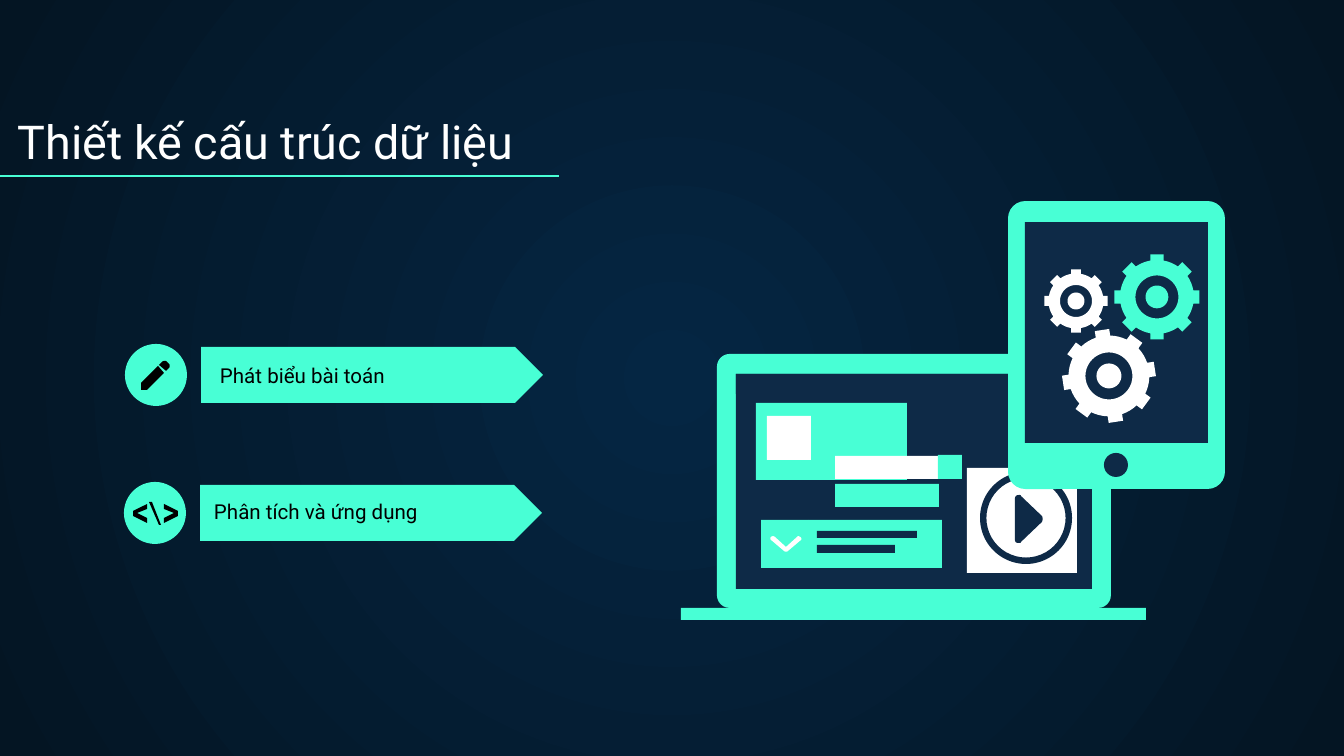
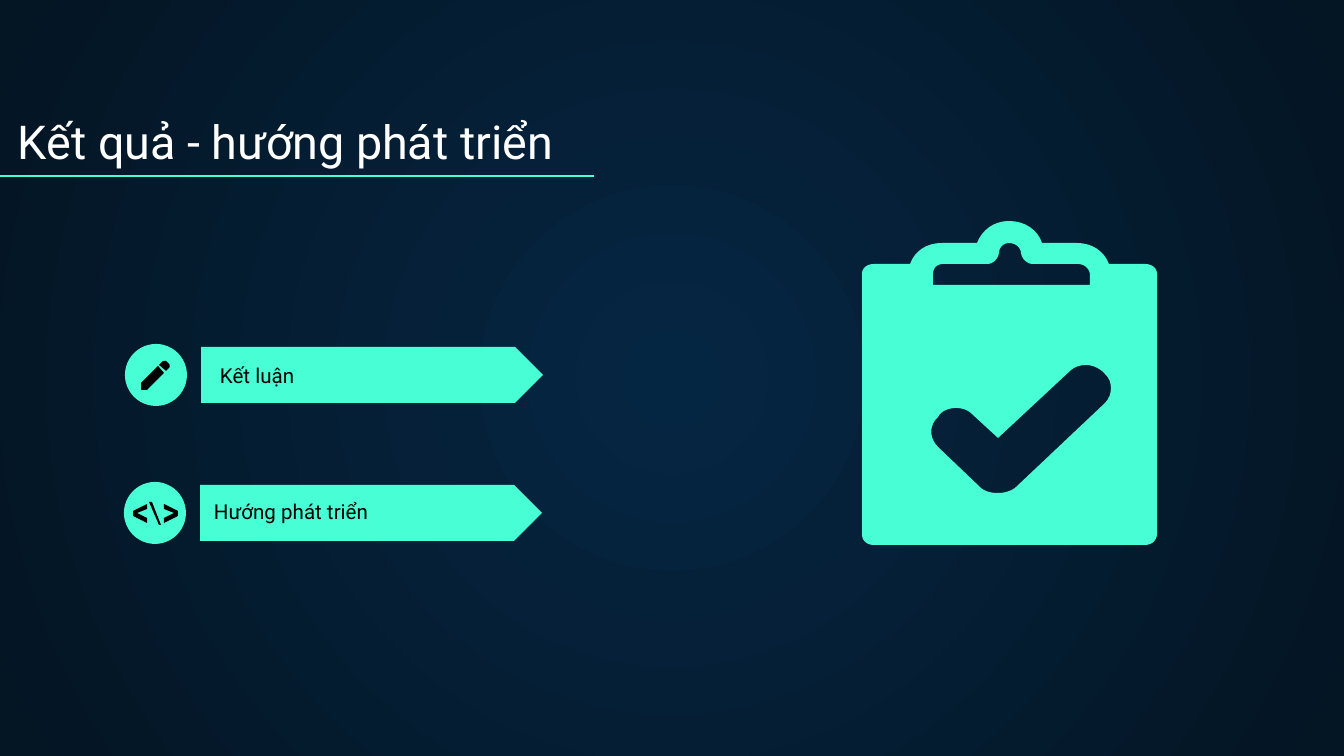
from collections.abc import Callable, Sequence
from dataclasses import dataclass
from math import asin, cos, pi, sin

from lxml.etree import SubElement
from pptx import Presentation
from pptx.dml.color import RGBColor
from pptx.enum.shapes import MSO_CONNECTOR, MSO_SHAPE
from pptx.enum.text import MSO_ANCHOR
from pptx.oxml.ns import qn
from pptx.shapes.base import BaseShape
from pptx.shapes.shapetree import GroupShapes, SlideShapes
from pptx.slide import Slide
from pptx.util import Emu, Pt

SLIDE_W, SLIDE_H = 1344, 756
EMU_PER_PX = 9144000 / SLIDE_W

MINT = RGBColor(0x48, 0xFF, 0xD5)
NAVY = RGBColor(0x0E, 0x2A, 0x47)
WHITE = RGBColor(0xFF, 0xFF, 0xFF)
BLACK = RGBColor(0, 0, 0)
BG_CENTRE = RGBColor(0x05, 0x26, 0x43)
BG_EDGE = RGBColor(0x04, 0x15, 0x23)
FONT = "Roboto"
INSET = 13

RECT, ROUNDED = MSO_SHAPE.RECTANGLE, MSO_SHAPE.ROUNDED_RECTANGLE
OVAL, DONUT, PENTAGON = MSO_SHAPE.OVAL, MSO_SHAPE.DONUT, MSO_SHAPE.PENTAGON

Contour = Sequence[tuple[float, ...]]
Shapes = SlideShapes | GroupShapes


@dataclass(frozen=True)
class Block:
    x: int
    y: int
    w: int
    h: int
    color: RGBColor
    kind: MSO_SHAPE = RECT
    adj: float | None = None


@dataclass(frozen=True)
class Gear:
    cx: int
    cy: int
    r: int
    color: RGBColor
    turn: float = 0


@dataclass(frozen=True)
class Row:
    disc_x: int
    disc_y: int
    text_x: int
    text_y: int


@dataclass(frozen=True)
class Page:
    title: str
    rule_end: int
    labels: tuple[str, str]
    art: Callable[[Slide], None]


ROWS = (Row(125, 344, 207, 372), Row(124, 482, 201, 508))

PENCIL = (
    [(165, 361), (164, 361, 163, 361, 162, 362), (159, 365), (166, 371), (169, 368),
     (170, 367, 170, 365, 169, 364), (167, 362), (166, 361, 166, 361, 165, 361)],
    [(158, 366), (141, 383), (141, 390), (147, 390), (164, 373)],
)
BRACKET = [(147, 523), (133, 516), (133, 511), (147, 504), (147, 509), (137, 513), (147, 518)]
CODE_MARKS = (
    BRACKET,
    [(159, 525), (149, 502), (152, 502), (161, 525)],
    [(311 - x, y) for x, y in BRACKET],
)
CHEVRON = [
    (800, 537), (799, 536, 798, 536, 797, 537), (786, 547), (775, 537),
    (774, 536, 772, 536, 771, 537), (770, 538, 770, 539, 771, 540), (784, 551),
    (785, 552, 787, 552, 788, 551), (801, 540), (802, 539, 801, 537, 800, 537),
]
PLAY = [
    (1019, 495), (1016, 495, 1015, 497, 1015, 499), (1015, 539),
    (1015, 542, 1016, 543, 1019, 543), (1020, 543, 1021, 543, 1021, 542),
    (1042, 522), (1043, 520, 1043, 518, 1042, 516), (1021, 496),
    (1021, 495, 1020, 495, 1019, 495),
]
BOARD = [
    (1009, 221), (994, 221, 982, 230, 977, 243), (942, 243),
    (926, 243, 915, 251, 910, 264), (874, 264), (867, 264, 862, 268, 862, 274),
    (862, 534), (862, 541, 867, 545, 874, 545), (1145, 545),
    (1152, 545, 1157, 540, 1157, 534), (1157, 274), (1157, 268, 1152, 264, 1145, 264),
    (1109, 264), (1104, 251, 1092, 243, 1077, 243), (1042, 243),
    (1038, 230, 1025, 221, 1009, 221),
]
CLIP_HOLE = [
    (1009, 243), (1016, 243, 1021, 248, 1021, 253), (1022, 259, 1027, 264, 1033, 264),
    (1078, 264), (1084, 264, 1089, 268, 1090, 274), (1090, 285), (933, 285), (933, 274),
    (933, 268, 937, 264, 943, 264), (987, 264), (993, 264, 998, 259, 999, 253),
    (999, 247, 1004, 243, 1009, 243),
]
CHECK_HOLE = [
    (1086, 365), (1091, 365, 1097, 367, 1102, 371), (1105, 374),
    (1113, 381, 1113, 395, 1105, 403), (1015, 488), (1009, 492, 1003, 493, 998, 493),
    (992, 493, 986, 492, 981, 488), (938, 447), (929, 438, 929, 425, 938, 417),
    (940, 414), (944, 410, 950, 408, 956, 408), (962, 408, 968, 410, 972, 414),
    (998, 438), (1070, 371), (1074, 367, 1080, 365, 1086, 365),
]

LAPTOP = (
    Block(717, 354, 394, 254, MINT, ROUNDED, 0.05),
    Block(736, 374, 356, 215, NAVY),
    Block(681, 608, 465, 12, MINT),
    Block(736, 374, 356, 20, NAVY),
    Block(756, 403, 151, 77, MINT),
    Block(767, 416, 44, 44, WHITE),
    Block(809, 520, 133, 48, MINT),
    Block(817, 531, 100, 7, NAVY),
    Block(817, 545, 78, 8, NAVY),
    Block(761, 520, 48, 48, MINT),
)
MEDIA = (
    Block(835, 484, 104, 23, MINT),
    Block(835, 456, 104, 23, WHITE),
    Block(938, 455, 24, 24, MINT),
    Block(967, 468, 110, 105, WHITE),
    Block(980, 472, 92, 92, NAVY, DONUT, 0.07),
)
TABLET = (
    Block(1008, 201, 217, 288, MINT, ROUNDED, 0.08),
    Block(1025, 222, 183, 221, NAVY),
    Block(1104, 453, 24, 24, NAVY, OVAL),
)
GEARS = (
    Gear(1157, 297, 43, MINT),
    Gear(1076, 301, 32, WHITE),
    Gear(1109, 376, 47, WHITE, -0.15),
)


def px(n: float) -> Emu:
    return Emu(round(n * EMU_PER_PX))


def paint(sp: BaseShape, color: RGBColor) -> None:
    sp.shadow.inherit = False
    sp.fill.solid()
    sp.fill.fore_color.rgb = color
    sp.line.fill.background()


def add_block(shapes: Shapes, b: Block) -> None:
    sp = shapes.add_shape(b.kind, px(b.x), px(b.y), px(b.w), px(b.h))
    if b.adj is not None:
        sp.adjustments[0] = b.adj
    paint(sp, b.color)


def add_blocks(shapes: Shapes, blocks: Sequence[Block]) -> None:
    for b in blocks:
        add_block(shapes, b)


def flatten(contour: Contour, steps: int = 8) -> list[tuple[Emu, Emu]]:
    pts: list[tuple[float, ...]] = []
    for seg in contour:
        if len(seg) == 2:
            pts.append(seg)
            continue
        x0, y0 = pts[-1]
        x1, y1, x2, y2, x3, y3 = seg
        for i in range(1, steps + 1):
            t = i / steps
            u = 1 - t
            a, b, c, d = u**3, 3 * u * u * t, 3 * u * t * t, t**3
            pts.append((a * x0 + b * x1 + c * x2 + d * x3, a * y0 + b * y1 + c * y2 + d * y3))
    return [(px(x), px(y)) for x, y in pts]


def add_outline(shapes: Shapes, contours: Sequence[Contour], color: RGBColor) -> None:
    first, *rest = [flatten(c) for c in contours]
    fb = shapes.build_freeform(*first[0])
    fb.add_line_segments(first[1:], close=True)
    for pts in rest:
        fb.move_to(*pts[0])
        fb.add_line_segments(pts[1:], close=True)
    paint(fb.convert_to_shape(), color)


def add_gear(shapes: Shapes, g: Gear, teeth: int = 8) -> None:
    def polar(r: float, a: float) -> tuple[float, float]:
        return g.cx + r * sin(a), g.cy - r * cos(a)

    def circle(r: float, n: int = 40) -> Contour:
        return [polar(r, 2 * pi * i / n) for i in range(n)]

    body, half = 0.86 * g.r, 0.155 * g.r
    base, tip, pitch = asin(half / body), asin(half / g.r), 2 * pi / teeth
    rim: list[tuple[float, float]] = []
    for k in range(teeth):
        a = g.turn + k * pitch
        rim += [polar(body, a - base), polar(g.r, a - tip), polar(g.r, a + tip)]
        rim += [polar(body, a + base + (pitch - 2 * base) * i / 4) for i in range(4)]
    add_outline(shapes, [rim, circle(0.5 * g.r), circle(0.265 * g.r)], g.color)


def add_text(s: Slide, text: str, *, x: int, y: int, w: int, h: int,
             size: int, color: RGBColor) -> None:
    tf = s.shapes.add_textbox(px(x), px(y), px(w), px(h)).text_frame
    tf.word_wrap = True
    tf.vertical_anchor = MSO_ANCHOR.BOTTOM
    tf.margin_left = tf.margin_right = tf.margin_top = tf.margin_bottom = px(INSET)
    r = tf.paragraphs[0].add_run()
    r.text = text
    r.font.name, r.font.size, r.font.color.rgb = FONT, Pt(size), color


def add_rule(s: Slide, end: int) -> None:
    ln = s.shapes.add_connector(MSO_CONNECTOR.STRAIGHT, px(0), px(176), px(end), px(176))
    ln.line.color.rgb = MINT
    ln.line.width = Pt(1)
    SubElement(ln._element.spPr, qn("a:effectLst"))


def set_background(s: Slide) -> None:
    fill = s.background.fill
    fill.gradient()
    for stop, color in zip(fill.gradient_stops, (BG_CENTRE, BG_EDGE)):
        stop.color.rgb = color
    grad = s.background._cSld.find(".//" + qn("a:gradFill"))
    grad.remove(grad.find(qn("a:lin")))
    radial = SubElement(grad, qn("a:path"), path="circle")
    SubElement(radial, qn("a:fillToRect"), l="50000", t="50000", r="50000", b="50000")


def draw_devices(s: Slide) -> None:
    add_blocks(s.shapes, LAPTOP)
    add_outline(s.shapes, [CHEVRON], WHITE)
    add_blocks(s.shapes, MEDIA)
    add_outline(s.shapes, [PLAY], NAVY)
    add_blocks(s.shapes, TABLET)
    for g in GEARS:
        add_gear(s.shapes, g)


def draw_clipboard(s: Slide) -> None:
    add_outline(s.shapes, [BOARD, CLIP_HOLE, CHECK_HOLE], MINT)


def add_page(prs: Presentation, page: Page) -> None:
    s = prs.slides.add_slide(prs.slide_layouts[6])
    set_background(s)
    for row in reversed(ROWS):
        add_block(s.shapes, Block(row.disc_x + 76, row.disc_y + 3, 342, 56, MINT, PENTAGON, 0.5))
    add_text(s, page.title, x=5, y=93, w=1152, h=89, size=25, color=WHITE)
    for row, label in zip(ROWS, page.labels):
        add_text(s, label, x=row.text_x, y=row.text_y, w=305, h=28, size=11, color=BLACK)
    add_rule(s, page.rule_end)
    for row in ROWS:
        add_block(s.shapes, Block(row.disc_x, row.disc_y, 62, 62, MINT, OVAL))
    add_outline(s.shapes, PENCIL, BLACK)
    code = s.shapes.add_group_shape()
    for mark in CODE_MARKS:
        add_outline(code.shapes, [mark], BLACK)
    page.art(s)


PAGES = (
    Page("Thiết kế cấu trúc dữ liệu", 559,
         ("Phát biểu bài toán", "Phân tích và ứng dụng"), draw_devices),
    Page("Kết quả - hướng phát triển", 594,
         ("Kết luận", "Hướng phát triển"), draw_clipboard),
)


def main() -> None:
    prs = Presentation()
    prs.slide_width, prs.slide_height = px(SLIDE_W), px(SLIDE_H)
    for page in PAGES:
        add_page(prs, page)
    prs.save("out.pptx")


if __name__ == "__main__":
    main()
